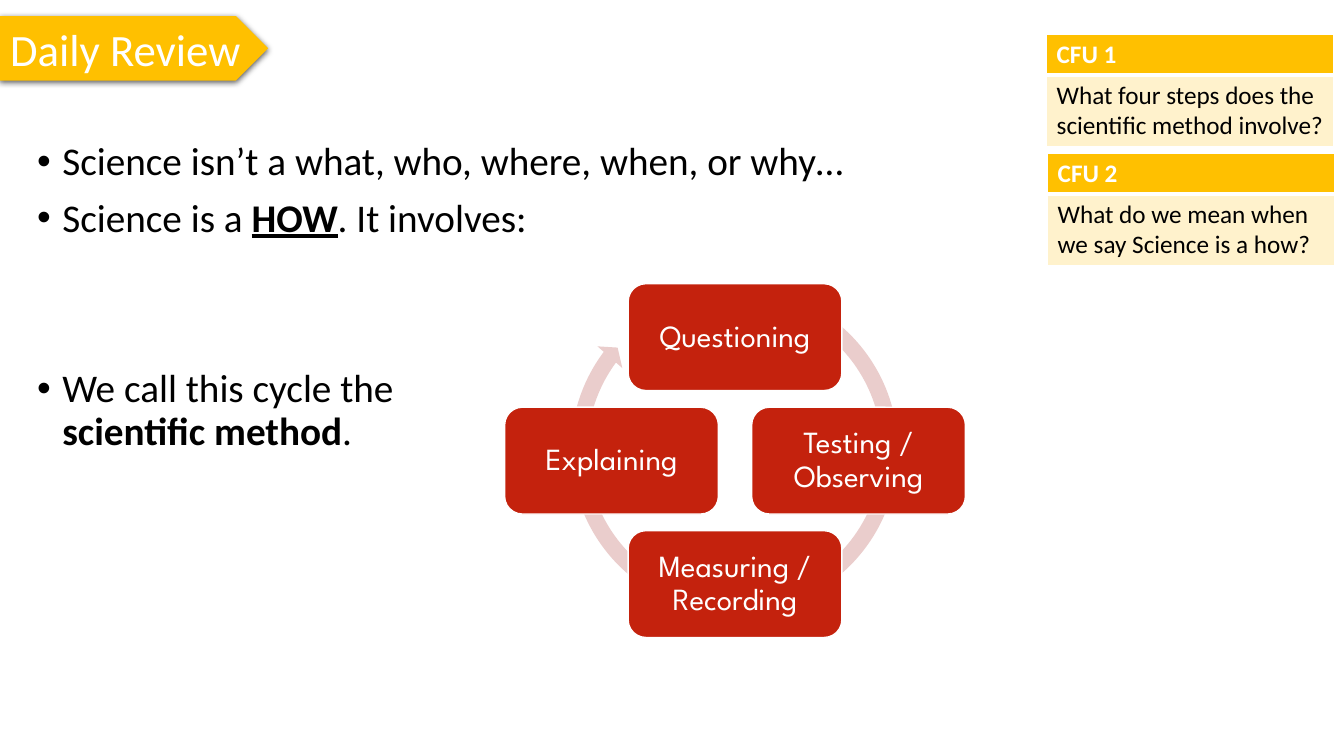
from pptx import Presentation
from pptx.dml.color import RGBColor
from pptx.enum.shapes import MSO_SHAPE
from pptx.enum.text import MSO_ANCHOR, MSO_AUTO_SIZE, PP_ALIGN
from pptx.oxml import parse_xml
from pptx.oxml.ns import nsdecls
from pptx.util import Inches, Pt

PLATE = MSO_SHAPE.PENTAGON
RING = MSO_SHAPE.CIRCULAR_ARROW
ROUND = MSO_SHAPE.ROUNDED_RECTANGLE
MIDDLE = MSO_ANCHOR.MIDDLE
FIXED = MSO_AUTO_SIZE.NONE
LEFT, CENTER = PP_ALIGN.LEFT, PP_ALIGN.CENTER

COLORS = {
    "gold": "FFC000",
    "cream": "FFF2CC",
    "red": "C4220D",
    "pink": "EACDCC",
    "white": "FFFFFF",
    "black": "000000",
}


def color(name):
    return RGBColor.from_string(COLORS[name])


def write(para, text, size=18, font="Calibri", ink="black", bold=False, under=False, align=LEFT):
    para.alignment = align
    run = para.add_run()
    run.text = text
    run.font.size = Pt(size)
    run.font.name = font
    run.font.color.rgb = color(ink)
    run.font.bold = bold
    run.font.underline = under


prs = Presentation()
prs.slide_width, prs.slide_height = Inches(13.33), Inches(7.5)
slide = prs.slides.add_slide(prs.slide_layouts[5])
shapes = slide.shapes

title = shapes.title
title.left, title.top = Inches(0), Inches(0.16)
title.width, title.height = Inches(2.5), Inches(0.64)
frame = title.text_frame
frame.word_wrap = False
frame.auto_size = FIXED
write(frame.paragraphs[0], "Daily Review", size=32, ink="white")

plate = shapes.add_shape(PLATE, Inches(0), Inches(0.16), Inches(2.66), Inches(0.64))
plate.fill.solid()
plate.fill.fore_color.rgb = color("gold")
plate.line.fill.background()
plate.element.spPr.append(parse_xml(
    f'<a:effectLst {nsdecls("a")}>'
    '<a:outerShdw blurRad="57150" dist="19050" dir="5400000" algn="ctr" rotWithShape="0">'
    f'<a:srgbClr val="{COLORS["black"]}"><a:alpha val="63000"/></a:srgbClr>'
    '</a:outerShdw></a:effectLst>'))
title.element.addprevious(plate.element)

checks = [
    (10.38, 0.34, "CFU 1", "What four steps does the scientific method involve?"),
    (10.39, 1.52, "CFU 2", "What do we mean when we say Science is a how?"),
]
for left, top, head, ask in checks:
    table = shapes.add_table(2, 1, Inches(left), Inches(top), Inches(2.85), Inches(1.1)).table
    rows = [
        (head, 0.39, "gold", "white", True, {"L": 1, "R": 1, "T": 1, "B": 3}),
        (ask, 0.71, "cream", "black", False, {"L": 1, "R": 1, "T": 3, "B": 1}),
    ]
    for i, (text, height, fill, ink, bold, edges) in enumerate(rows):
        table.rows[i].height = Inches(height)
        cell = table.cell(i, 0)
        write(cell.text_frame.paragraphs[0], text, ink=ink, bold=bold)
        props = cell._tc.get_or_add_tcPr()
        for side, width in edges.items():
            props.append(parse_xml(
                f'<a:ln{side} {nsdecls("a")} w="{Pt(width)}"><a:solidFill>'
                f'<a:srgbClr val="{COLORS["white"]}"/></a:solidFill></a:ln{side}>'))
        cell.fill.solid()
        cell.fill.fore_color.rgb = color(fill)

ring = shapes.add_shape(RING, Inches(5.58), Inches(2.76), Inches(3.41), Inches(3.41))
for i, value in enumerate([0.047, 2.729, 130.017, 179.158, 0.048]):
    ring.adjustments[i] = value
ring.shadow.inherit = False
ring.fill.solid()
ring.fill.fore_color.rgb = color("pink")
ring.line.fill.background()

steps = [
    ("Questioning", 0, -1),
    ("Testing / Observing", 1, 0),
    ("Measuring / Recording", 0, 1),
    ("Explaining", -1, 0),
]
reach = 1.225
for text, across, down in steps:
    left, top = 6.23 + reach * across, 4.04 + reach * down
    step = shapes.add_shape(ROUND, Inches(left), Inches(top), Inches(2.12), Inches(1.06))
    step.shadow.inherit = False
    step.fill.solid()
    step.fill.fore_color.rgb = color("red")
    step.line.color.rgb = color("white")
    step.line.width = Pt(1)
    frame = step.text_frame
    frame.word_wrap = True
    frame.vertical_anchor = MIDDLE
    frame.margin_left = frame.margin_right = Inches(0.09)
    frame.margin_top = frame.margin_bottom = Inches(0.09)
    para = frame.paragraphs[0]
    para.line_spacing = 0.9
    write(para, text, size=22, font="League Spartan", ink="white", align=CENTER)

body = shapes.add_textbox(Inches(0.27), Inches(1.36), Inches(9.73), Inches(3.21))
frame = body.text_frame
frame.word_wrap = True
points = [
    (0, [("Science isn’t a what, who, where, when, or why…", {})]),
    (10, [("Science is a ", {}), ("HOW", {"bold": True, "under": True}), (". It involves:", {})]),
    (91.5, [("We call this cycle the ", {}), None, ("scientific method", {"bold": True}), (".", {})]),
]
for i, (gap, parts) in enumerate(points):
    para = frame.add_paragraph() if i else frame.paragraphs[0]
    para.line_spacing = 0.9
    para.space_before = Pt(gap)
    props = para._p.get_or_add_pPr()
    props.set("marL", str(Inches(0.25)))
    props.set("indent", str(-Inches(0.25)))
    props.append(parse_xml(f'<a:buFont {nsdecls("a")} typeface="Arial"/>'))
    props.append(parse_xml(f'<a:buChar {nsdecls("a")} char="•"/>'))
    for part in parts:
        if part is None:
            para.add_line_break()
        else:
            write(para, part[0], size=28, **part[1])

prs.save("out.pptx")
